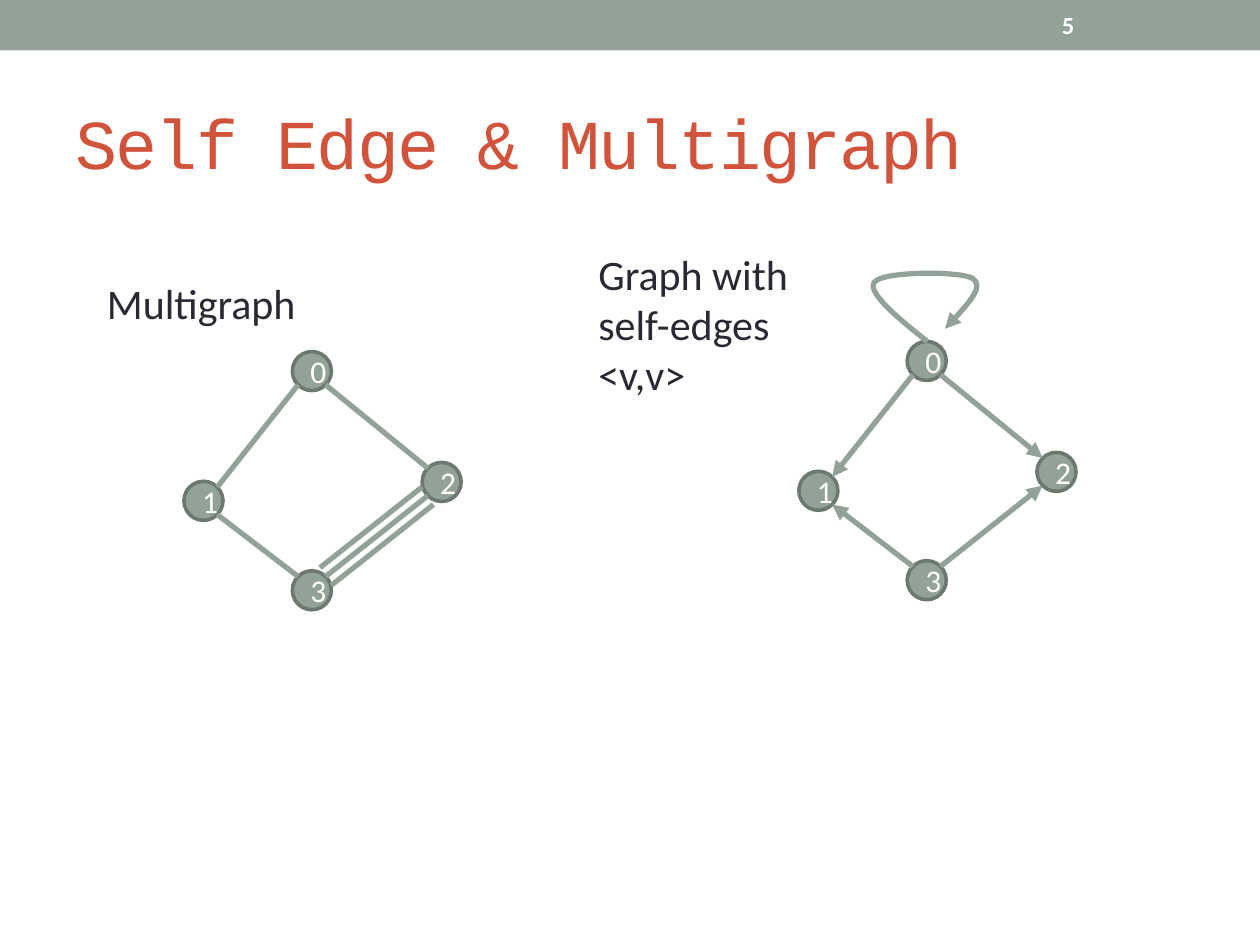
import math

from lxml import etree
from pptx import Presentation
from pptx.dml.color import RGBColor
from pptx.enum.shapes import MSO_CONNECTOR, MSO_SHAPE
from pptx.enum.text import MSO_ANCHOR, PP_ALIGN
from pptx.oxml.ns import qn
from pptx.util import Inches, Pt

RECTANGLE, CIRCLE = MSO_SHAPE.RECTANGLE, MSO_SHAPE.OVAL
STRAIGHT = MSO_CONNECTOR.STRAIGHT
TOP, MIDDLE = MSO_ANCHOR.TOP, MSO_ANCHOR.MIDDLE
LEFT, CENTER = PP_ALIGN.LEFT, PP_ALIGN.CENTER

SAGE = RGBColor(0x93, 0xA2, 0x99)
DARK_SAGE = RGBColor(0x6D, 0x78, 0x71)
RUST = RGBColor(0xD2, 0x53, 0x3C)
INK = RGBColor(0x29, 0x29, 0x34)
WHITE = RGBColor(0xFF, 0xFF, 0xFF)

# The slide is a grid of square cells, 0.1 inch each
COLUMNS, ROWS = 100, 75
NODE_SIZE = 3.1
EDGE_WIDTH = 3

# Node positions relative to the left and top of a graph
NODES = {"0": (8.6, 0), "3": (8.6, 17.4), "1": (0, 10.3), "2": (18.9, 8.8)}
EDGES = [("0", "1"), ("0", "2"), ("3", "2"), ("3", "1")]


def cells(count):
    return Inches(count / 10)


class SlideBuilder:
    body_font = "Calibri"
    title_font = "Courier New"

    def __init__(self, slide):
        self.slide = slide

    def set_text(self, shape, text, size, color, font=body_font,
                 anchor=TOP, align=LEFT, bold=False, spacing=None):
        frame = shape.text_frame
        frame.word_wrap = True
        frame.vertical_anchor = anchor
        frame.text = text
        for paragraph in frame.paragraphs:
            paragraph.alignment = align
            for run in paragraph.runs:
                run.font.name = font
                run.font.size = Pt(size)
                run.font.bold = bold
                run.font.color.rgb = color
                if spacing is not None:
                    run._r.get_or_add_rPr().set("spc", str(spacing * 100))

    def text(self, box, text, size, color, **style):
        shape = self.slide.shapes.add_textbox(*map(cells, box))
        self.set_text(shape, text, size, color, **style)

    def shape(self, kind, box, outline=None):
        shape = self.slide.shapes.add_shape(kind, *map(cells, box))
        shape.shadow.inherit = False
        shape.fill.solid()
        shape.fill.fore_color.rgb = SAGE
        if outline is None:
            shape.line.fill.background()
        else:
            shape.line.color.rgb = outline
            shape.line.width = Pt(2.08)
        return shape

    def node(self, left, top, label):
        circle = self.shape(CIRCLE, (left, top, NODE_SIZE, NODE_SIZE), DARK_SAGE)
        self.set_text(circle, label, 18, WHITE, anchor=MIDDLE, align=CENTER)

    def stroke(self, line, arrow):
        line.color.rgb = SAGE
        line.width = Pt(EDGE_WIDTH)
        if arrow:
            properties = line._get_or_add_ln()
            etree.SubElement(properties, qn("a:tailEnd"), type="triangle")

    def edge(self, start, end, arrow=False):
        connector = self.slide.shapes.add_connector(STRAIGHT, *map(cells, start + end))
        self.stroke(connector.line, arrow)
        etree.SubElement(connector._element.spPr, qn("a:effectLst"))

    def graph(self, left, top, directed):
        centers = {}
        for label, (x, y) in NODES.items():
            self.node(left + x, top + y, label)
            centers[label] = (left + x + NODE_SIZE / 2, top + y + NODE_SIZE / 2)
        # Edges run between the diagonal points of the circles
        reach = NODE_SIZE / 2 * math.sqrt(0.5)
        lines = {}
        for pair in EDGES:
            (x1, y1), (x2, y2) = centers[pair[0]], centers[pair[1]]
            dx, dy = math.copysign(reach, x2 - x1), math.copysign(reach, y2 - y1)
            lines[pair] = ((x1 + dx, y1 + dy), (x2 - dx, y2 - dy))
            self.edge(*lines[pair], arrow=directed)
        return lines

    def curve(self, box, start, segments):
        """Draw an arrow of cubic curves; points are in grid cells."""
        left, top, width, height = box
        builder = self.slide.shapes.build_freeform(cells(left), cells(top))
        builder.add_line_segments([(cells(left + width), cells(top + height))], close=False)
        shape = builder.convert_to_shape()
        shape.shadow.inherit = False
        shape.fill.background()
        self.stroke(shape.line, arrow=True)
        outline = next(shape._element.iter(qn("a:path")))
        for child in list(outline):
            outline.remove(child)
        for tag, points in [("a:moveTo", [start])] + [("a:cubicBezTo", s) for s in segments]:
            command = etree.SubElement(outline, qn(tag))
            for x, y in points:
                etree.SubElement(command, qn("a:pt"),
                                 x=str(cells(x - left)), y=str(cells(y - top)))


def main():
    presentation = Presentation()
    presentation.slide_width = cells(COLUMNS)
    presentation.slide_height = cells(ROWS)
    slide = presentation.slides.add_slide(presentation.slide_layouts[6])
    builder = SlideBuilder(slide)

    # Header band and title
    builder.shape(RECTANGLE, (0, 0, COLUMNS, 4))
    builder.text((5, 5.8, 90, 10.8), "Self Edge & Multigraph", 40, RUST,
                 font=builder.title_font, anchor=MIDDLE, spacing=-1)

    # Directed graph with a self edge on node 0
    builder.graph(63.4, 27.1, directed=True)
    builder.curve((69.3, 21.7, 8.2, 5.5), (73.6, 27.1), [
        [(71.2, 25.2), (68.8, 23.2), (69.4, 22.4)],
        [(70, 21.5), (76.3, 21.5), (77.2, 22.1)],
        [(78.1, 22.7), (76.6, 24.4), (75, 26.1)],
    ])

    # Multigraph with two more parallel edges between nodes 3 and 2
    lines = builder.graph(14.6, 27.9, directed=False)
    for side in (1, -1):
        builder.edge(*[(x + 0.45 * side, y + 0.7 * side) for x, y in lines["3", "2"]])

    # Captions and slide number
    builder.text((46.5, 19.2, 19.1, 13.1), "Graph with self-edges\n<v,v>", 24, INK)
    builder.text((7.5, 21.5, 19.5, 5), "Multigraph", 24, INK)
    builder.text((83.3, 0.2, 11.7, 3.6), "5", 14, WHITE, anchor=MIDDLE, bold=True)

    presentation.save("out.pptx")


if __name__ == "__main__":
    main()
